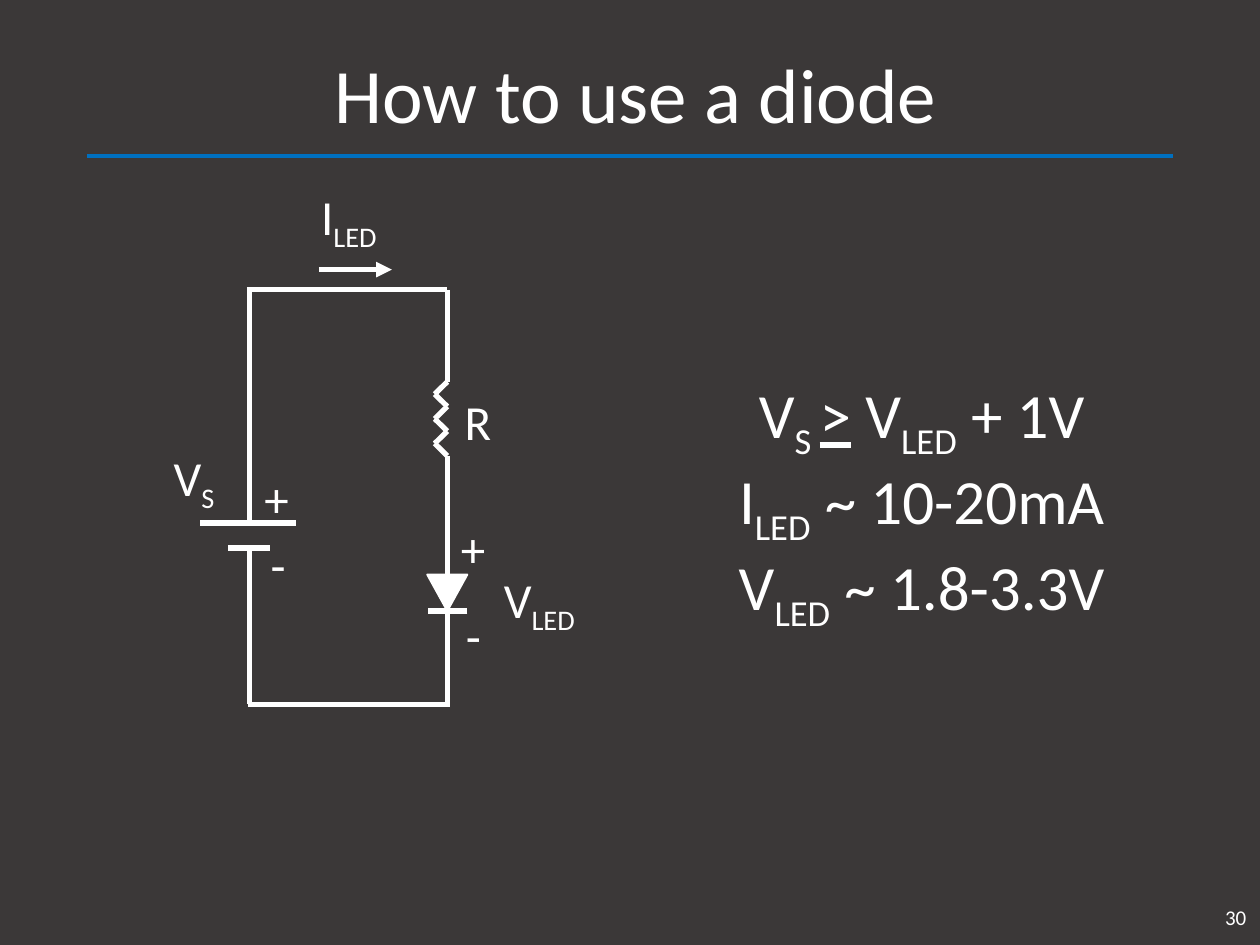
from dataclasses import dataclass
from itertools import pairwise

from lxml import etree
from pptx import Presentation
from pptx import util as u
from pptx.dml.color import RGBColor
from pptx.enum import shapes, text
from pptx.oxml import ns


@dataclass
class Theme:
    back: str = "3B3838"
    ink: str = "FFFFFF"
    rule: str = "0070C0"
    font: str = "Calibri"
    title: int = 44
    body: int = 36
    label: int = 28
    note: int = 12
    thick: float = 3
    thin: float = 2.25


class Deck:
    """Draws on a grid of 100 columns by 75 rows."""

    def __init__(self, theme):
        self.theme = theme
        self.prs = Presentation()
        self.prs.slide_width, self.prs.slide_height = u.Inches(10), u.Inches(7.5)
        self.unit = self.prs.slide_width / 100
        self.slide = self.prs.slides.add_slide(self.prs.slide_layouts[1])
        fill = self.slide.background.fill
        fill.solid()
        fill.fore_color.rgb = RGBColor.from_string(theme.back)
        self.host = self.slide.shapes

    def grid(self, *cells):
        return [round(cell * self.unit) for cell in cells]

    def group(self):
        """Collect the next parts in a group."""
        self.host = self.slide.shapes.add_group_shape().shapes

    def loose(self):
        """Go back to drawing straight on the slide."""
        self.host = self.slide.shapes

    def place(self, shape, box):
        shape.left, shape.top, shape.width, shape.height = self.grid(*box)

    def style(self, frame, lines, size, align, anchor=text.MSO_ANCHOR.TOP, space=1.0):
        """Underscores switch subscript on and off; a lone > is underlined."""
        frame.word_wrap = True
        frame.auto_size = text.MSO_AUTO_SIZE.NONE
        frame.vertical_anchor = anchor
        frame.text = "\n".join(lines)
        for para in frame.paragraphs:
            parts = para.text.split("_")
            para.text = ""
            para.alignment = align
            para.line_spacing = space
            para.space_before = u.Pt(0)
            for i, part in enumerate(parts):
                if not part:
                    continue
                run = para.add_run()
                run.text = part
                font = run.font
                font.name, font.size = self.theme.font, u.Pt(size)
                font.color.rgb = RGBColor.from_string(self.theme.ink)
                if part == ">":
                    font.underline = True
                elif i % 2:
                    run._r.get_or_add_rPr().set("baseline", "-25000")

    def title(self, words, box):
        shape = self.slide.shapes.title
        self.place(shape, box)
        self.style(shape.text_frame, [words], self.theme.title,
                   text.PP_ALIGN.CENTER, text.MSO_ANCHOR.MIDDLE, 0.9)

    def body(self, lines, box):
        shape = self.slide.placeholders[1]
        self.place(shape, box)
        self.style(shape.text_frame, lines, self.theme.body, text.PP_ALIGN.CENTER)
        for para in shape.text_frame.paragraphs:
            props = para._p.get_or_add_pPr()
            props.set("marL", "0")
            props.set("indent", "0")
            etree.SubElement(props, ns.qn("a:buNone"))

    def label(self, words, box, size=None, align=text.PP_ALIGN.LEFT,
              anchor=text.MSO_ANCHOR.TOP):
        shape = self.host.add_textbox(*self.grid(*box))
        self.style(shape.text_frame, [words], size or self.theme.label, align, anchor)

    def wire(self, *points, color=None, width=None, arrow=False):
        """Join the points with straight lines."""
        for start, end in pairwise(points):
            line = self.host.add_connector(
                shapes.MSO_CONNECTOR.STRAIGHT, *self.grid(*start, *end))
            line.line.color.rgb = RGBColor.from_string(color or self.theme.ink)
            line.line.width = u.Pt(width or self.theme.thick)
            if arrow:
                etree.SubElement(line.line._get_or_add_ln(),
                                 ns.qn("a:tailEnd"), type="triangle")
            etree.SubElement(line._element.spPr, ns.qn("a:effectLst"))

    def wedge(self, box):
        """Triangle that points down."""
        shape = self.host.add_shape(
            shapes.MSO_SHAPE.ISOSCELES_TRIANGLE, *self.grid(*box))
        shape.rotation = 180
        shape.shadow.inherit = False
        shape.fill.solid()
        for color in (shape.fill.fore_color, shape.line.color):
            color.rgb = RGBColor.from_string(self.theme.ink)
        shape.line.width = u.Pt(1)


def main():
    theme = Theme()
    deck = Deck(theme)

    # Heading, rule and page number
    deck.wire((6.9, 12.4), (93.1, 12.4), color=theme.rule, width=theme.thin)
    deck.title("How to use a diode", (5.1, 2.4, 90.7, 10.9))
    deck.label("30", (77.4, 70.8, 22.5, 4), theme.note,
               text.PP_ALIGN.RIGHT, text.MSO_ANCHOR.MIDDLE)

    # Design rules
    deck.body(["V_S _>__ V_LED_ + 1V", "I_LED_ ~ 10-20mA", "V_LED_ ~ 1.8-3.3V"],
              (52.5, 29.3, 41.3, 19.2))

    # Circuit loop: battery side on the left, load side on the right
    left, right, top, low = 19.8, 35.5, 23, 55.9
    deck.wire((left, 41.5), (left, top))
    deck.wire((left - 0.2, top), (right, top))
    deck.wire((right, top), (right, 28.6))
    deck.wire((right, 36.9), (right, 42.5))
    deck.wire((right, 50.6), (right, low + 0.2))
    deck.wire((left - 0.1, low), (right, low))
    deck.wire((left, 43.5), (left, low))

    # Battery plates
    deck.wire((15.9, 41.5), (23.5, 41.5))
    deck.wire((18.1, 43.5), (21.4, 43.5))

    # Resistor
    deck.group()
    first, step = 30.3, 0.98
    zigzag = [(right - i % 2, first + i * step) for i in range(7)]
    deck.wire((right, 28.4), *zigzag, (right, 38.1))
    deck.loose()

    # Diode
    deck.group()
    deck.wire((right, 41.7), (right, 52.8))
    deck.wire((37.1, 48.5), (34, 48.5))
    deck.wedge((33.9, 45.6, 3.2, 2.9))
    deck.loose()

    # Current arrow
    deck.wire((25.3, 21.4), (31.1, 21.4), arrow=True)

    # Labels
    for words, x, y, wide in (
        ("I_LED", 24.5, 14.3, 8.3),
        ("V_S", 12.8, 35, 6.7),
        ("R", 35.9, 30.6, 5.3),
        ("V_LED", 39, 44.7, 8.7),
        ("+", 20, 36.7, 3),
        ("-", 20.5, 41.9, 3),
        ("+", 35.6, 40.7, 3),
        ("-", 36, 47.6, 3),
    ):
        deck.label(words, (x, y, wide, 5.7))

    deck.prs.save("out.pptx")


if __name__ == "__main__":
    main()
